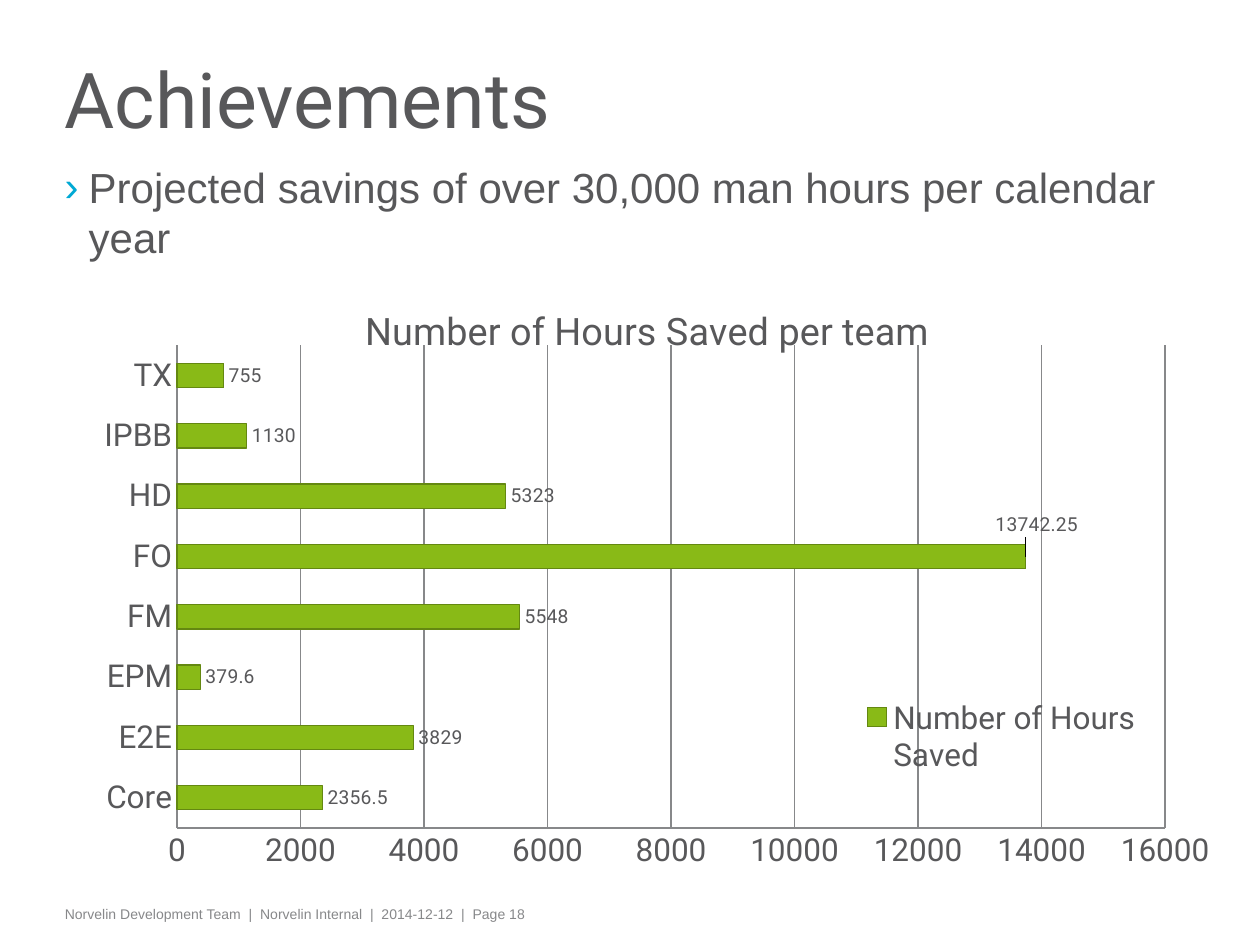
"""Build the Achievements slide: one bullet and a bar chart of hours saved per team."""
from dataclasses import dataclass

from lxml import etree
from pptx import Presentation
from pptx.chart.data import CategoryChartData
from pptx.dml.color import RGBColor
from pptx.enum.chart import XL_CHART_TYPE, XL_LABEL_POSITION, XL_LEGEND_POSITION, XL_TICK_MARK
from pptx.enum.text import MSO_ANCHOR, PP_ALIGN
from pptx.oxml import parse_xml
from pptx.oxml.ns import nsdecls, qn
from pptx.util import Pt

BAR_CLUSTERED = XL_CHART_TYPE.BAR_CLUSTERED
OUTSIDE_END = XL_LABEL_POSITION.OUTSIDE_END
LEGEND_RIGHT = XL_LEGEND_POSITION.RIGHT
NO_TICK = XL_TICK_MARK.NONE
TOP, MIDDLE, LEFT = MSO_ANCHOR.TOP, MSO_ANCHOR.MIDDLE, PP_ALIGN.LEFT


@dataclass(frozen=True)
class Theme:
    ink: RGBColor = RGBColor(0x58, 0x58, 0x5A)
    muted: RGBColor = RGBColor(0x87, 0x88, 0x8A)
    bar: RGBColor = RGBColor(0x89, 0xBA, 0x17)
    bar_edge: RGBColor = RGBColor(0x64, 0x88, 0x11)
    bullet: str = "00A9D4"
    heading_font: str = "Roboto"
    body_font: str = "Arial"
    title_size: int = 44
    body_size: int = 24
    chart_title_size: float = 21.6
    chart_size: int = 18
    label_size: int = 11
    footer_size: int = 8


theme = Theme()


def write_text(box, text, *, size, color, font, anchor=TOP, inset=0, before=0, spacing=None):
    frame = box.text_frame
    frame.word_wrap = True
    frame.vertical_anchor = anchor
    frame.margin_left = frame.margin_right = Pt(6)
    frame.margin_top = frame.margin_bottom = Pt(inset)
    para = frame.paragraphs[0]
    para.alignment = LEFT
    para.space_before = Pt(before)
    para.line_spacing = spacing
    span = para.add_run()
    span.text = text
    span.font.name = font
    span.font.size = Pt(size)
    span.font.color.rgb = color
    return para


def manual_layout(**values):
    entries = "".join(f'<c:{name} val="{value}"/>' for name, value in values.items())
    return parse_xml(
        f'<c:layout {nsdecls("c")}><c:manualLayout>{entries}</c:manualLayout></c:layout>'
    )


deck = Presentation()
deck.slide_width, deck.slide_height = Pt(720), Pt(540)
page = deck.slides.add_slide(deck.slide_layouts[5])
margin = Pt(31)

title = page.shapes.title
title.left, title.top, title.width, title.height = margin, Pt(18.7), Pt(590.4), Pt(85.7)
write_text(title, "Achievements", size=theme.title_size, color=theme.ink,
           font=theme.heading_font, anchor=MIDDLE, spacing=0.75)

footer = page.shapes.add_textbox(margin, Pt(514), Pt(582.5), Pt(17.3))
write_text(footer, "Norvelin Development Team  |  Norvelin Internal  |  2014-12-12  |  Page 18",
           size=theme.footer_size, color=theme.muted, font=theme.body_font, inset=3.6, before=4)

hours = {"Core": 2356.5, "E2E": 3829, "EPM": 379.6, "FM": 5548,
         "FO": 13742.25, "HD": 5323, "IPBB": 1130, "TX": 755}
data = CategoryChartData()
data.categories = list(hours)
data.add_series("Number of Hours Saved", list(hours.values()))
chart = page.shapes.add_chart(
    BAR_CLUSTERED, margin, Pt(152.6), Pt(668.2), Pt(358.6), data
).chart
chart.font.name = theme.heading_font
chart.font.size = Pt(theme.chart_size)
chart.font.color.rgb = theme.ink

chart.has_title = True
heading = chart.chart_title.text_frame
heading.text = "Number of Hours Saved per team"
heading_font = heading.paragraphs[0].runs[0].font
heading_font.name = theme.heading_font
heading_font.size = Pt(theme.chart_title_size)
heading_font.bold = False
heading_font.color.rgb = theme.ink
heading_xml = chart.chart_title._element
for layout in heading_xml.findall(qn("c:layout")):
    heading_xml.remove(layout)
heading_xml.find(qn("c:tx")).addnext(manual_layout(xMode="edge", yMode="edge", x=0.26, y=0.05))

value_axis = chart.value_axis
value_axis.minimum_scale, value_axis.maximum_scale = 0, 16000
value_axis.major_unit = 2000
value_axis.has_major_gridlines = True
for axis in (chart.category_axis, value_axis):
    axis.major_tick_mark = axis.minor_tick_mark = NO_TICK
for line in (chart.category_axis.format.line, value_axis.format.line,
             value_axis.major_gridlines.format.line):
    line.color.rgb = theme.muted
    line.width = Pt(0.75)

plot = chart.plots[0]
plot.gap_width = 150
plot.vary_by_categories = False
series = plot.series[0]
series.format.fill.solid()
series.format.fill.fore_color.rgb = theme.bar
series.format.line.color.rgb = theme.bar_edge
series.format.line.width = Pt(0.75)

labels = series.data_labels
labels.show_value = True
longest_label = series.points[list(hours).index("FO")].data_label
for label in (labels, longest_label):
    label.position = OUTSIDE_END
    label.font.name = theme.heading_font
    label.font.size = Pt(theme.label_size)
    label.font.color.rgb = theme.ink
label_xml = series._element.find(".//" + qn("c:dLbl"))
label_xml.find(qn("c:idx")).addnext(manual_layout(x=-0.03, y=-0.05))

chart.has_legend = True
chart.legend.position = LEGEND_RIGHT
chart.legend.include_in_layout = False
legend_xml = chart.legend._element
for layout in legend_xml.findall(qn("c:layout")):
    legend_xml.remove(layout)
legend_xml.find(qn("c:legendPos")).addnext(
    manual_layout(xMode="edge", yMode="edge", x=0.68, y=0.68, w=0.26, h=0.14))

plot_xml = plot._element.getparent()
for layout in plot_xml.findall(qn("c:layout")):
    plot_xml.remove(layout)
plot_xml.insert(0, manual_layout(layoutTarget="inner", xMode="edge", yMode="edge",
                                 x=0.105, y=0.125, w=0.845, h=0.769))

body = page.shapes.add_textbox(margin, Pt(92.2), Pt(657.4), Pt(303))
point = write_text(body, "Projected savings of over 30,000 man hours per calendar year",
                   size=theme.body_size, color=theme.ink, font=theme.body_font, before=4.8)
properties = point._p.get_or_add_pPr()
properties.set("marL", str(Pt(13.7)))
properties.set("indent", str(-Pt(13.7)))
bullet_color = etree.SubElement(properties, qn("a:buClr"))
etree.SubElement(bullet_color, qn("a:srgbClr"), val=theme.bullet)
etree.SubElement(properties, qn("a:buFont"), typeface=theme.body_font)
etree.SubElement(properties, qn("a:buChar"), char="›")

deck.save("out.pptx")
